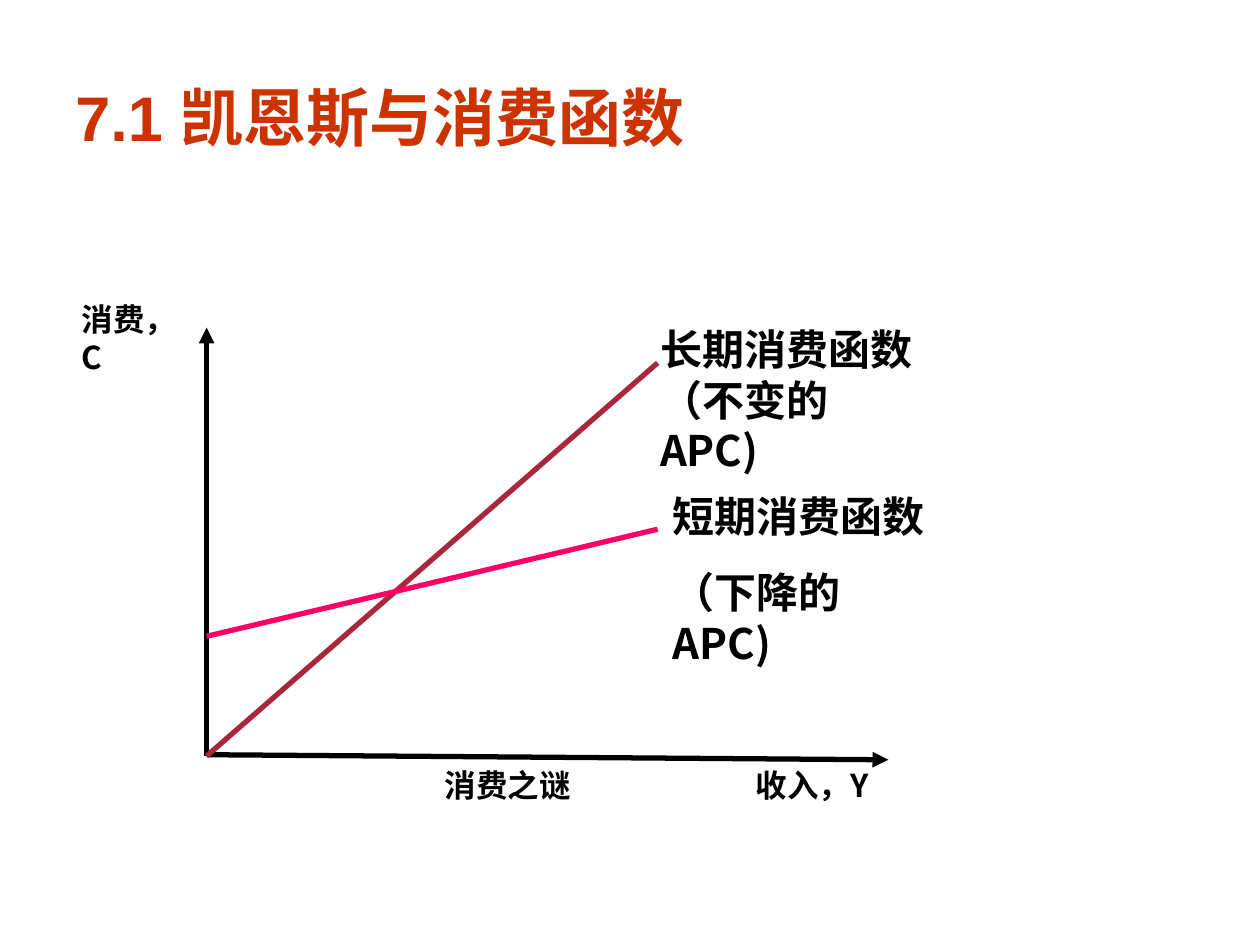
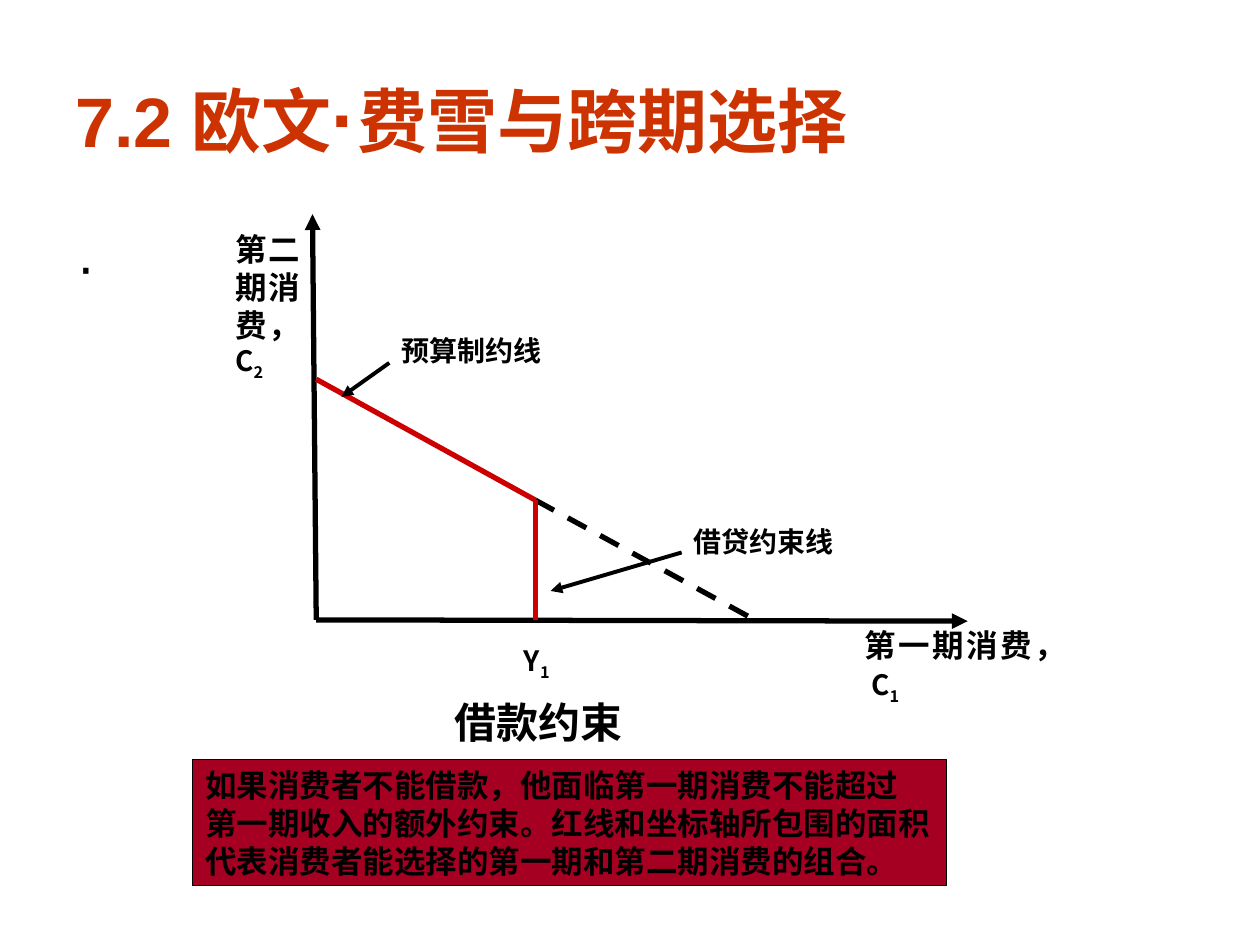
"""Build two slides on consumption functions and borrowing limits."""
from lxml import etree
from pptx import Presentation
from pptx.dml.color import RGBColor
from pptx.enum import dml, shapes, text
from pptx.oxml import ns
from pptx.util import Inches, Pt

BLACK = RGBColor(0, 0, 0)
ORANGE = RGBColor(0xCC, 0x33, 0x00)
RED = RGBColor(0xCC, 0x00, 0x00)
WINE = RGBColor(0xA5, 0x00, 0x21)
BRICK = RGBColor(0xA9, 0x27, 0x3D)
PINK = RGBColor(0xFF, 0x00, 0x66)
SANS = "Noto Sans CJK SC"
ARIAL = "Arial"
ROMAN = "Times New Roman"
LEFT = text.PP_ALIGN.LEFT
JUST = text.PP_ALIGN.JUSTIFY


def write(shape, paras, size, name=ARIAL, color=BLACK, bold=True, align=LEFT, gap=0):
    """Fill a shape with paragraphs, each a list of (words, changes) runs."""
    frame = shape.text_frame
    frame.word_wrap = True
    for i, runs in enumerate(paras):
        para = frame.add_paragraph() if i else frame.paragraphs[0]
        para.alignment = align
        if i:
            para.space_before = Pt(gap)
        for words, change in runs:
            run = para.add_run()
            run.text = words
            style = {"size": size, "name": name, "bold": bold} | change
            sub = style.pop("sub", False)
            style["size"] = Pt(style["size"])
            for key, value in style.items():
                setattr(run.font, key, value)
            run.font.color.rgb = color
            props = run._r.get_or_add_rPr()
            etree.SubElement(props, ns.qn("a:ea")).set("typeface", SANS)
            if sub:
                props.set("baseline", "-25000")


def draw(slide, start, end, color=BLACK, width=3, arrow=False, dash=False):
    """Draw a straight line between two points."""
    line = slide.shapes.add_connector(
        shapes.MSO_CONNECTOR.STRAIGHT, *map(Inches, start + end))
    line.line.color.rgb = color
    line.line.width = Pt(width)
    if dash:
        line.line.dash_style = dml.MSO_LINE.DASH
    if arrow:
        tail = etree.SubElement(line.line._get_or_add_ln(), ns.qn("a:tailEnd"))
        tail.set("type", "triangle")
    etree.SubElement(line._element.spPr, ns.qn("a:effectLst"))
    return line


deck = Presentation()
deck.slide_width, deck.slide_height = Inches(10), Inches(7.5)

titles = [
    ([("7.1 凯恩斯与消费函数", {})], 36),
    ([("7.2 欧文", {}), ("·", {"size": 44}), ("费雪与跨期选择", {})], 40),
]
pages = []
for runs, size in titles:
    page = deck.slides.add_slide(deck.slide_layouts[6])
    head = page.shapes.add_textbox(Inches(0.5), Inches(0.3), Inches(9), Inches(1.25))
    head.text_frame.vertical_anchor = text.MSO_ANCHOR.MIDDLE
    write(head, [runs], size, color=ORANGE)
    pages.append(page)
puzzle, limit = pages

draw(puzzle, (1.64, 5.99), (7.05, 6.03), arrow=True)
draw(puzzle, (1.64, 6), (1.64, 2.6), arrow=True)
draw(puzzle, (1.64, 6), (5.22, 2.88), BRICK)
draw(puzzle, (1.64, 5.05), (5.22, 4.2), PINK)

draw(limit, (2.51, 4.92), (7.68, 4.93), arrow=True)
draw(limit, (2.51, 4.92), (2.48, 1.7), arrow=True)
draw(limit, (2.51, 3.01), (4.25, 3.97), RED)
draw(limit, (4.25, 3.97), (5.99, 4.92), dash=True)
draw(limit, (4.25, 3.97), (4.25, 4.92), RED)
draw(limit, (3.09, 2.88), (2.71, 3.15), width=2.25, arrow=True)
loan = draw(limit, (5.41, 4.38), (4.37, 4.69), width=2.25, arrow=True)

small = {"name": SANS, "size": 16}
low = small | {"sub": True}
plain = {"size": 18, "name": SANS}
tag = {"size": 16, "name": ROMAN, "align": JUST}
labels = [
    (puzzle, (5.24, 3.84, 2.25, 1.11),
     [[("短期消费函数", {})], [("（", {}), ("下降的APC)", {"name": SANS})]],
     {"size": 24, "gap": 15}),
    (puzzle, (5.14, 2.52, 2.25, 0.9),
     [[("长期消费函数", {})], [("（不变的APC)", {"name": SANS})]], {"size": 24}),
    (puzzle, (5.9, 6.03, 1.2, 0.4), [[("收入，Y", {})]], plain),
    (puzzle, (0.55, 2.33, 1.05, 0.4), [[("消费，C", {})]], plain),
    (puzzle, (3.43, 6.03, 1.25, 0.4), [[("消费之谜", {})]], {"size": 18}),
    (limit, (0.51, 1.78, 9, 4.95), [[("·", {})]], {"size": 32, "bold": False}),
    (limit, (3.09, 2.6, 1.36, 0.41), [[("预算制约线", {})]], tag),
    (limit, (4.06, 5.06, 1.54, 0.41), [[("Y", small), ("1", low)]], tag),
    (limit, (6.76, 4.92, 1.55, 0.58),
     [[("第一期消费， ", {}), ("C", small), ("1", low)]],
     {"size": 18, "align": JUST}),
    (limit, (1.77, 1.78, 0.71, 1.42),
     [[("第二期消费， ", {}), ("C", small), ("2", low)]],
     plain | {"align": JUST}),
    (limit, (3.51, 5.48, 1.6, 0.5), [[("借款约束", {})]], {"size": 24}),
    (limit, (5.41, 4.11, 1.4, 0.55), [[("借贷约束线", {})]], tag),
]
for page, spot, paras, style in labels:
    box = page.shapes.add_textbox(*map(Inches, spot))
    write(box, paras, **style)
loan.begin_connect(box, 1)

note = limit.shapes.add_shape(
    shapes.MSO_SHAPE.RECTANGLE, *map(Inches, (1.53, 6.03, 5.98, 1)))
note.shadow.inherit = False
note.fill.solid()
note.fill.fore_color.rgb = WINE
note.line.color.rgb = BLACK
note.line.width = Pt(0.75)
lines = [
    "如果消费者不能借款，他面临第一期消费不能超过",
    "第一期收入的额外约束。红线和坐标轴所包围的面积",
    "代表消费者能选择的第一期和第二期消费的组合。",
]
write(note, [[(words, {})] for words in lines], 18)
note.text_frame.word_wrap = False
note.text_frame.vertical_anchor = text.MSO_ANCHOR.MIDDLE

deck.save("out.pptx")
